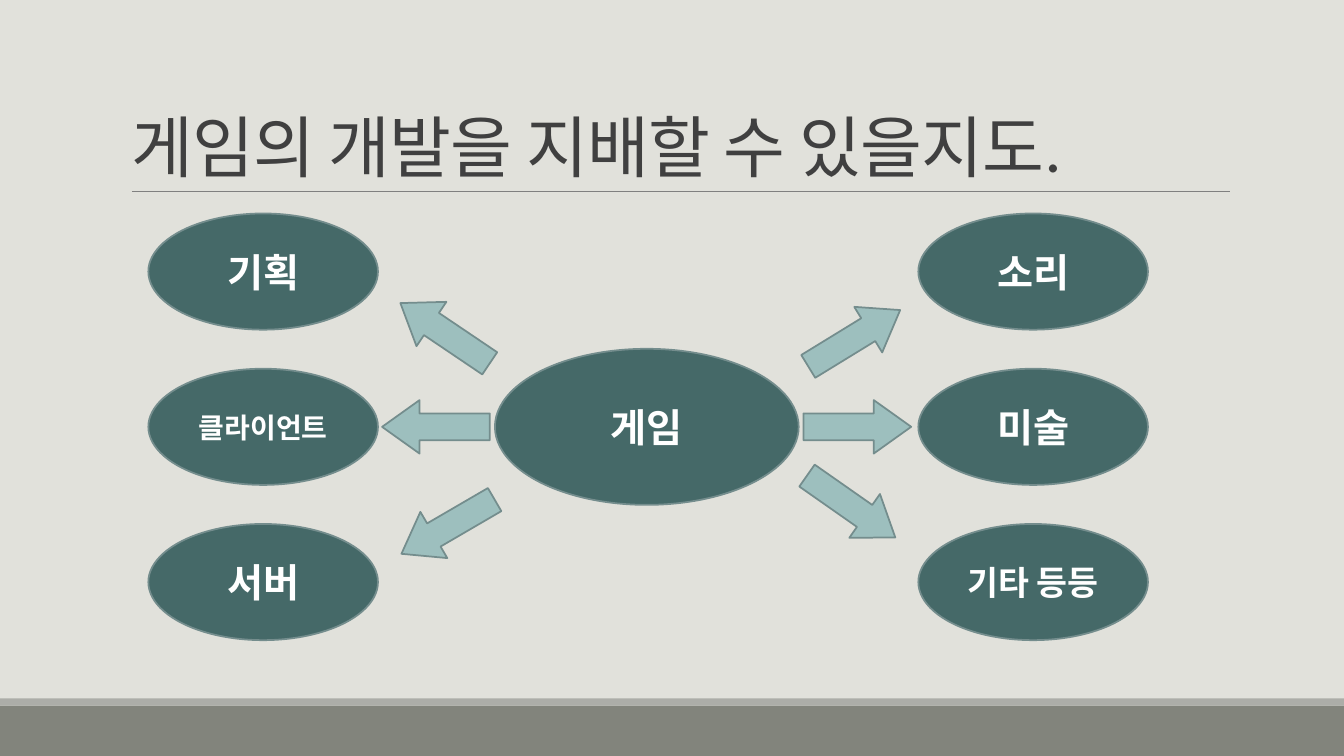
from lxml.etree import SubElement
from pptx import Presentation
from pptx.dml.color import RGBColor
from pptx.enum.shapes import MSO_CONNECTOR, MSO_SHAPE
from pptx.enum.text import MSO_ANCHOR, MSO_AUTO_SIZE, PP_ALIGN
from pptx.oxml.ns import qn
from pptx.util import Pt

COLORS = {
    "background": "E1E1DB",
    "footer": "82847C",
    "footer_edge": "ACADA8",
    "rule": "808080",
    "title": "404040",
    "oval": "456968",
    "arrow": "9DBFBE",
    "outline": "748D8D",
    "white": "FFFFFF",
}
MIDDLE = 304.9
ROW_STEP = 110.9
TOPICS = [
    (188, [("기획", 28), ("클라이언트", 20), ("서버", 28)]),
    (738, [("소리", 28), ("미술", 28), ("기타 등등", 24)]),
]
ARROWS = [
    (317.9, 238, 214),
    (320, 376.2, 149.8),
    (311.4, MIDDLE, 180),
    (612.4, MIDDLE, 0),
    (608, 361.8, 35),
    (610.2, 241.6, 328.5),
]


def color(name):
    return RGBColor.from_string(COLORS[name])


def write_text(shape, text, size, fill, bold=False, align=PP_ALIGN.CENTER,
               anchor=MSO_ANCHOR.MIDDLE, line_spacing=1.0, tracking=0):
    frame = shape.text_frame
    frame.word_wrap = True
    frame.auto_size = MSO_AUTO_SIZE.NONE
    frame.vertical_anchor = anchor
    paragraph = frame.paragraphs[0]
    paragraph.alignment = align
    paragraph.line_spacing = line_spacing
    run = paragraph.add_run()
    run.text = text
    run.font.name = "Calibri"
    run.font.size = Pt(size)
    run.font.bold = bold
    run.font.color.rgb = color(fill)
    if tracking:
        run.font._element.set("spc", str(round(tracking * 100)))


def add_shape(slide, kind, center_x, center_y, width, height, fill, outline=None):
    shape = slide.shapes.add_shape(
        kind, Pt(center_x - width / 2), Pt(center_y - height / 2), Pt(width), Pt(height))
    shape.shadow.inherit = False
    shape.fill.solid()
    shape.fill.fore_color.rgb = color(fill)
    if outline:
        shape.line.color.rgb = color(outline)
        shape.line.width = Pt(1.25)
    else:
        shape.line.fill.background()
    return shape


def add_oval(slide, text, size, center_x, center_y, width, height):
    oval = add_shape(slide, MSO_SHAPE.OVAL, center_x, center_y, width, height, "oval", "outline")
    write_text(oval, text, size, "white", bold=True)


def add_arrow(slide, center_x, center_y, rotation):
    arrow = add_shape(slide, MSO_SHAPE.RIGHT_ARROW, center_x, center_y, 77, 38.2,
                      "arrow", "outline")
    arrow.adjustments[0] = 0.5
    arrow.adjustments[1] = 0.7
    arrow.rotation = rotation


def add_rule(slide, left, right, top):
    rule = slide.shapes.add_connector(
        MSO_CONNECTOR.STRAIGHT, Pt(left), Pt(top), Pt(right), Pt(top))
    rule.line.color.rgb = color("rule")
    rule.line.width = Pt(0.5)
    SubElement(rule._element.spPr, qn("a:effectLst"))


def add_title(slide, text):
    title = slide.shapes.title
    title.left, title.top, title.width, title.height = Pt(86.4), Pt(22.3), Pt(792), Pt(114.5)
    write_text(title, text, 48, "title", align=PP_ALIGN.LEFT, anchor=MSO_ANCHOR.BOTTOM,
               line_spacing=0.85, tracking=-0.5)


def main():
    presentation = Presentation()
    presentation.slide_width, presentation.slide_height = Pt(960), Pt(540)
    slide = presentation.slides.add_slide(presentation.slide_layouts[5])
    slide.background.fill.solid()
    slide.background.fill.fore_color.rgb = color("background")

    add_shape(slide, MSO_SHAPE.RECTANGLE, 480, 522, 960, 36, "footer")
    add_shape(slide, MSO_SHAPE.RECTANGLE, 480, 501.4, 960, 5.2, "footer_edge")
    add_rule(slide, 94.3, 878.8, 136.8)
    add_title(slide, "게임의 개발을 지배할 수 있을지도.")

    add_oval(slide, "게임", 28, 462, MIDDLE, 217, 111.5)
    for center_x, topics in TOPICS:
        for row, (text, size) in enumerate(topics):
            add_oval(slide, text, size, center_x, MIDDLE + (row - 1) * ROW_STEP, 164, 83)
    for center_x, center_y, rotation in ARROWS:
        add_arrow(slide, center_x, center_y, rotation)

    presentation.save("out.pptx")


if __name__ == "__main__":
    main()
